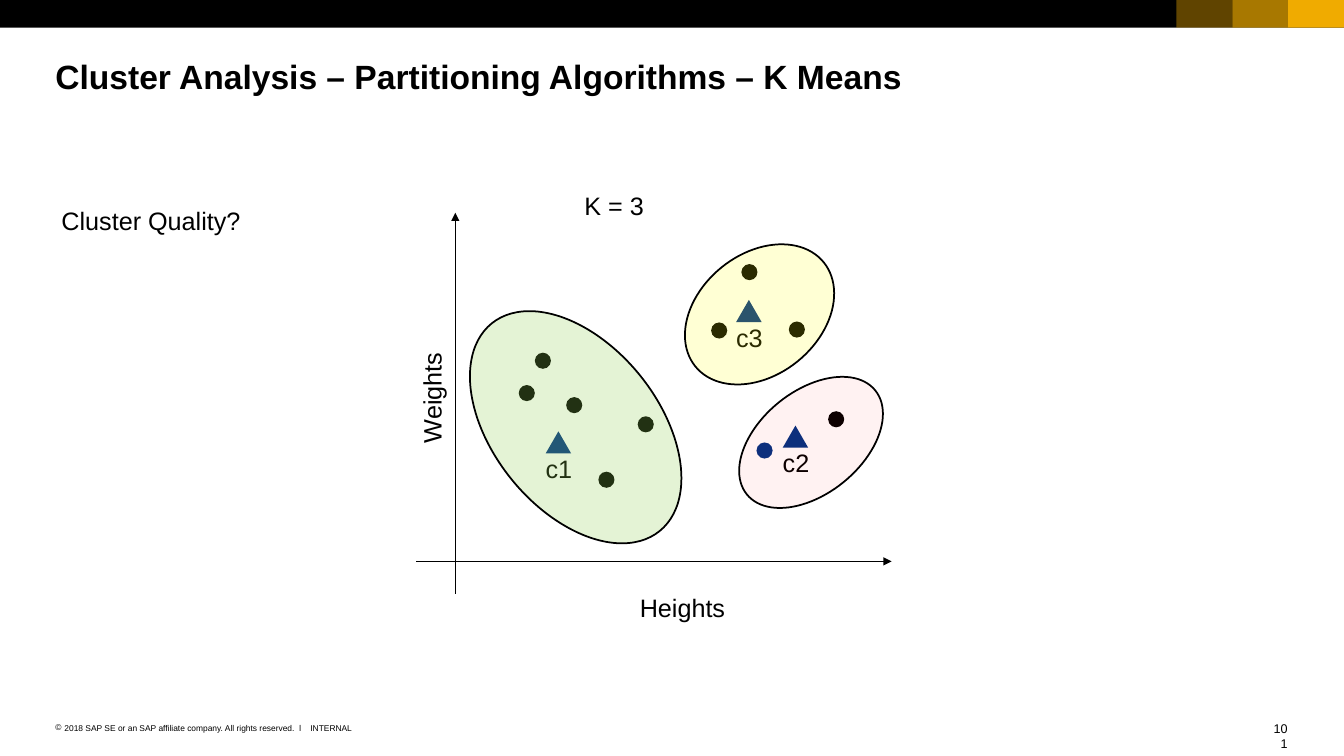
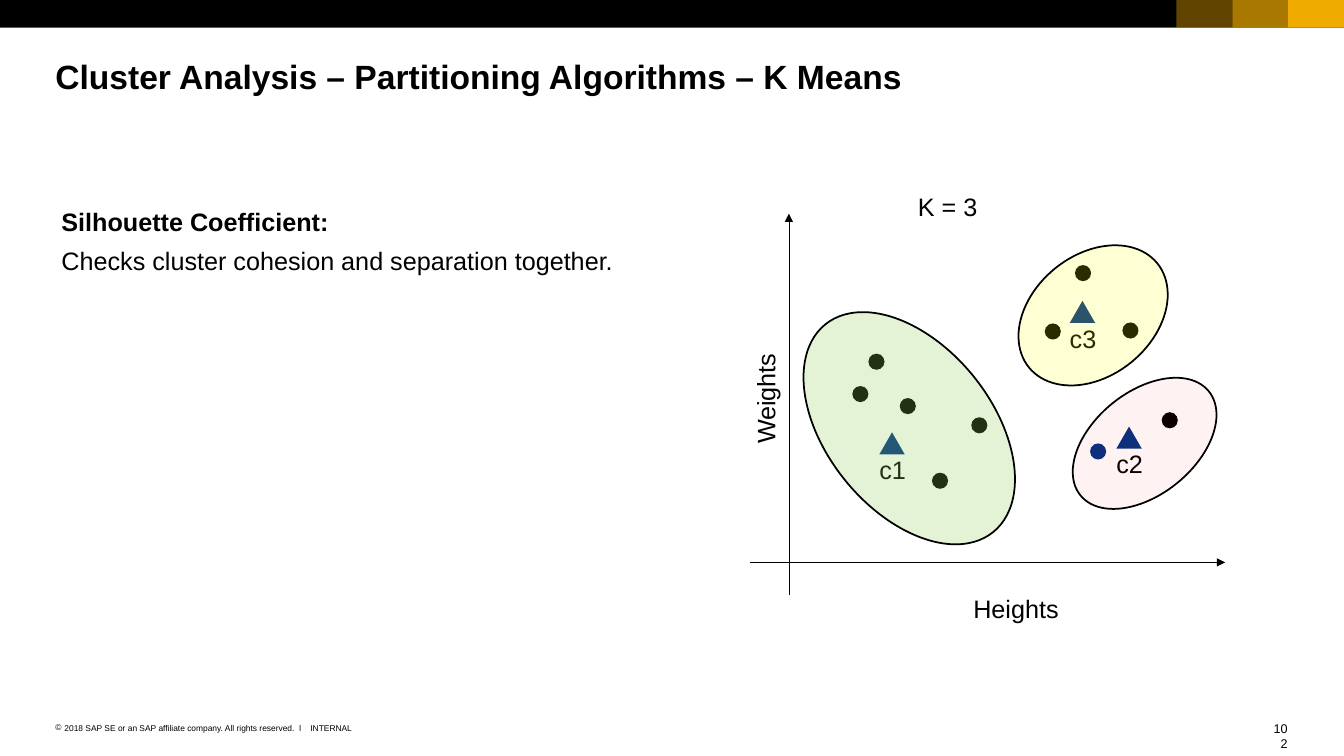
from lxml.etree import SubElement
from pptx import Presentation
from pptx.dml.color import RGBColor
from pptx.enum.shapes import MSO_CONNECTOR, MSO_SHAPE
from pptx.enum.text import PP_ALIGN
from pptx.oxml.ns import qn
from pptx.util import Pt

BLACK = RGBColor(0x00, 0x00, 0x00)
GOLD = RGBColor(0xF0, 0xAB, 0x00)
NAVY = RGBColor(0x00, 0x32, 0x83)
GREEN = RGBColor(0x92, 0xD0, 0x50)
YELLOW = RGBColor(0xFF, 0xFF, 0x00)
RED = RGBColor(0xFF, 0x00, 0x00)
FONT = "Arial"

SLIDE_W, SLIDE_H = 960.48, 540
BAND_H, BLOCK_W, MARGIN = 19.8, 39.9, 39.6
BLOCK_ALPHAS = [100, 70, 40]

TITLE = "Cluster Analysis – Partitioning Algorithms – K Means"
COPYRIGHT = "2018 SAP SE or an SAP affiliate company. All rights reserved.  ǀ"
CLASSIFICATION = "INTERNAL"

SLIDES = [
    {"page": "101", "body": [("Cluster Quality?", False)],
     "body_box": (43.9, 146.9, 215, 21.6), "origin": (325.4, 401)},
    {"page": "102", "body": [("Silhouette Coefficient:", True),
                             ("Checks cluster cohesion and separation together.", False)],
     "body_box": (43.9, 147.6, 408, 49.7), "origin": (563.8, 401.7)},
]

DOT_D = 11.5
POINTS = [
    (62.6, -143.3, BLACK), (51.1, -120.2, BLACK), (85, -111.6, BLACK),
    (108, -58.3, BLACK), (136.1, -97.9, BLACK), (210.2, -206.6, BLACK),
    (244.1, -165.6, BLACK), (188.6, -164.9, BLACK), (272.2, -101.5, BLACK),
    (221, -79.2, NAVY),
]
AXES = [((0, 23), (0, -249.1)), ((-28.1, 0), (311.8, 0))]
AXIS_LABELS = [
    ("Weights", -90.7, -169.2, 147.6, 270),
    ("Heights", 131.8, 22.3, 147.6, 0),
    ("K = 3", 92.2, -265, 102.2, 0),
]
CENTROID_W, CENTROID_H = 18.2, 15.8
CENTROIDS = [("c1", 64.6, -92.9), ("c2", 234, -97), ("c3", 200.7, -186.8)]
CLUSTER_LEN, CLUSTER_ROT = 118.1, 51
CLUSTERS = [
    (86, -95.8, 190.8, GREEN, 24),
    (217.4, -176.4, 86.4, YELLOW, 17),
    (254.2, -85, 73.4, RED, 5),
]


def add_text(s, box, lines, size, align=PP_ALIGN.LEFT, wrap=True, bullet=None):
    tb = s.shapes.add_textbox(*map(Pt, box))
    tf = tb.text_frame
    tf.word_wrap = wrap
    tf.margin_left = tf.margin_right = tf.margin_top = tf.margin_bottom = 0
    for i, (text, bold) in enumerate(lines):
        p = tf.paragraphs[0]
        if i:
            p = tf.add_paragraph()
            p.space_before = Pt(6)
        p.alignment = align
        if bullet:
            add_bullet(p, bullet)
        r = p.add_run()
        r.text = text
        r.font.name, r.font.size, r.font.bold = FONT, Pt(size), bold
        r.font.color.rgb = BLACK
    return tb


def add_bullet(p, char):
    pPr = p._p.get_or_add_pPr()
    pPr.set("marL", str(Pt(6.5)))
    pPr.set("indent", str(Pt(-6.5)))
    clr = SubElement(pPr, qn("a:buClr"))
    SubElement(clr, qn("a:srgbClr")).set("val", str(BLACK))
    SubElement(pPr, qn("a:buFont")).set("typeface", FONT)
    SubElement(pPr, qn("a:buChar")).set("char", char)


def add_filled(s, kind, box, color, alpha=100, line=None):
    sp = s.shapes.add_shape(kind, *map(Pt, box))
    sp.shadow.inherit = False
    sp.fill.solid()
    sp.fill.fore_color.rgb = color
    if alpha < 100:
        clr = sp._element.spPr.find(qn("a:solidFill"))[0]
        SubElement(clr, qn("a:alpha")).set("val", str(alpha * 1000))
    if line:
        sp.line.color.rgb = BLACK
        sp.line.width = Pt(line)
    else:
        sp.line.fill.background()
    return sp


def add_arrow(s, start, end):
    c = s.shapes.add_connector(MSO_CONNECTOR.STRAIGHT, *map(Pt, start + end))
    c.line.color.rgb = BLACK
    c.line.width = Pt(0.5)
    SubElement(c.line._get_or_add_ln(), qn("a:tailEnd")).set("type", "triangle")
    SubElement(c._element.spPr, qn("a:effectLst"))


def add_frame(s, page):
    add_text(s, (909.4, 514.8, 10.8, 10.8), [(page, False)], 9, PP_ALIGN.RIGHT)
    add_text(s, (221.8, 516.2, 30.2, 7.2), [(CLASSIFICATION, False)], 6, wrap=False)
    add_text(s, (MARGIN, 516.2, 178.6, 7.2), [(COPYRIGHT, False)], 6, bullet="©")
    add_filled(s, MSO_SHAPE.RECTANGLE, (0, 0, SLIDE_W, BAND_H), BLACK)
    for i, alpha in enumerate(BLOCK_ALPHAS, 1):
        box = (SLIDE_W - i * BLOCK_W, 0, BLOCK_W, BAND_H)
        add_filled(s, MSO_SHAPE.RECTANGLE, box, GOLD, alpha)
    add_text(s, (MARGIN, MARGIN, 880.6, 28.8), [(TITLE, True)], 24)


def add_cluster_plot(s, ox, oy):
    for x, y, color in POINTS:
        box = (ox + x - DOT_D / 2, oy + y - DOT_D / 2, DOT_D, DOT_D)
        add_filled(s, MSO_SHAPE.FLOWCHART_CONNECTOR, box, color)
    for (x1, y1), (x2, y2) in AXES:
        add_arrow(s, (ox + x1, oy + y1), (ox + x2, oy + y2))
    for text, x, y, w, rot in AXIS_LABELS:
        add_text(s, (ox + x, oy + y, w, 21.6), [(text, False)], 18).rotation = rot
    for text, x, y in CENTROIDS:
        box = (ox + x, oy + y, CENTROID_W, CENTROID_H)
        add_filled(s, MSO_SHAPE.ISOSCELES_TRIANGLE, box, NAVY)
        add_text(s, (ox + x, oy + y + CENTROID_H, 38.2, 21.6), [(text, False)], 18)
    for x, y, w, color, alpha in CLUSTERS:
        box = (ox + x - w / 2, oy + y - CLUSTER_LEN / 2, w, CLUSTER_LEN)
        add_filled(s, MSO_SHAPE.OVAL, box, color, alpha, 1.25).rotation = CLUSTER_ROT


def main():
    prs = Presentation()
    prs.slide_width, prs.slide_height = Pt(SLIDE_W), Pt(SLIDE_H)
    for content in SLIDES:
        s = prs.slides.add_slide(prs.slide_layouts[6])
        add_frame(s, content["page"])
        add_text(s, content["body_box"], content["body"], 18)
        add_cluster_plot(s, *content["origin"])
    prs.save("out.pptx")


if __name__ == "__main__":
    main()
